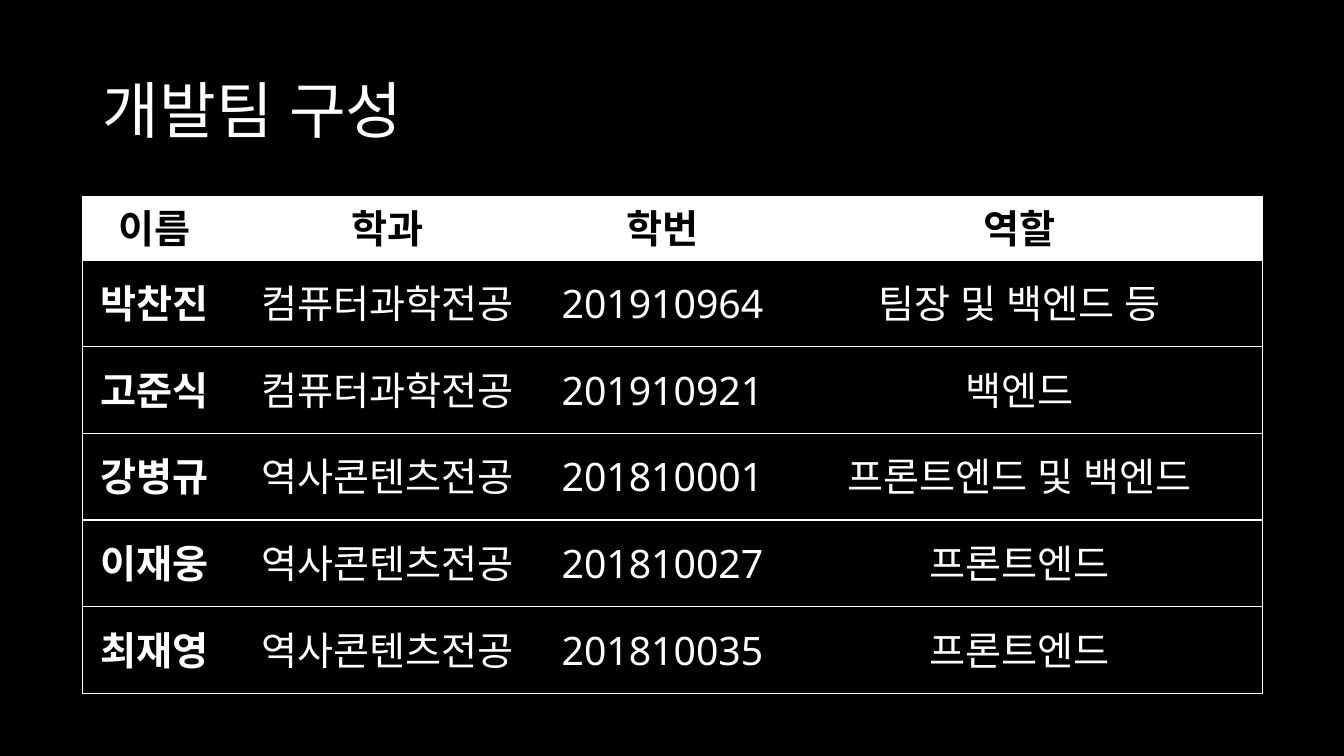
from pptx import Presentation
from pptx.dml.color import RGBColor as RGB
from pptx.enum.text import MSO_ANCHOR as Anchor, PP_ALIGN as Align
from pptx.oxml.ns import qn
from pptx.util import Inches, Pt
from lxml.etree import SubElement as Sub

TITLE = "개발팀 구성"
TEAM = [
    ("이름", "학과", "학번", "역할"),
    ("박찬진", "컴퓨터과학전공", "201910964", "팀장 및 백엔드 등"),
    ("고준식", "컴퓨터과학전공", "201910921", "백엔드"),
    ("강병규", "역사콘텐츠전공", "201810001", "프론트엔드 및 백엔드"),
    ("이재웅", "역사콘텐츠전공", "201810027", "프론트엔드"),
    ("최재영", "역사콘텐츠전공", "201810035", "프론트엔드"),
]
WIDTHS = [1.43, 3.18, 2.28, 4.81]
HEAD, ROW = 0.56, 0.86
FONT = "Noto Sans"
COLORS = {"back": "000000", "light": "FFFFFF"}


def color(name):
    return RGB.from_string(COLORS[name])


def style(par, size, name, bold=False):
    for run in par.runs:
        font = run.font
        font.name, font.size, font.bold = FONT, Pt(size), bold
        font.color.rgb = color(name)
        Sub(run._r.get_or_add_rPr(), qn("a:ea"), typeface=FONT)


def border(cell, side, shown):
    line = Sub(cell._tc.get_or_add_tcPr(), qn("a:ln" + side), w=str(Pt(1)))
    if shown:
        fill = Sub(line, qn("a:solidFill"))
        Sub(fill, qn("a:srgbClr"), val=COLORS["light"])
    else:
        Sub(line, qn("a:noFill"))


def add_title(slide):
    title = slide.shapes.title
    title.left, title.top = Inches(0.92), Inches(0.4)
    title.width, title.height = Inches(11.5), Inches(1.45)
    frame = title.text_frame
    frame.text = TITLE
    frame.vertical_anchor = Anchor.MIDDLE
    par = frame.paragraphs[0]
    par.alignment, par.line_spacing = Align.LEFT, 0.9
    style(par, 44, "light")


def add_team(slide):
    high = HEAD + ROW * (len(TEAM) - 1)
    table = slide.shapes.add_table(
        len(TEAM), len(WIDTHS), Inches(0.82), Inches(1.95),
        Inches(sum(WIDTHS)), Inches(high)).table
    table.horz_banding = False
    for col, width in zip(table.columns, WIDTHS):
        col.width = Inches(width)
    for r, texts in enumerate(TEAM):
        table.rows[r].height = Inches(ROW if r else HEAD)
        for c, text in enumerate(texts):
            cell = table.cell(r, c)
            cell.text = text
            cell.vertical_anchor = Anchor.MIDDLE
            par = cell.text_frame.paragraphs[0]
            par.alignment = Align.CENTER
            style(par, 28, "light" if r else "back", r == 0 or c == 0)
            border(cell, "L", c == 0)
            border(cell, "R", c == len(WIDTHS) - 1)
            border(cell, "T", True)
            border(cell, "B", True)
            cell.fill.solid()
            cell.fill.fore_color.rgb = color("back" if r else "light")


def main():
    deck = Presentation()
    deck.slide_width, deck.slide_height = Inches(13.33), Inches(7.5)
    slide = deck.slides.add_slide(deck.slide_layouts[5])
    slide.background.fill.solid()
    slide.background.fill.fore_color.rgb = color("back")
    add_title(slide)
    add_team(slide)
    deck.save("out.pptx")


if __name__ == "__main__":
    main()
